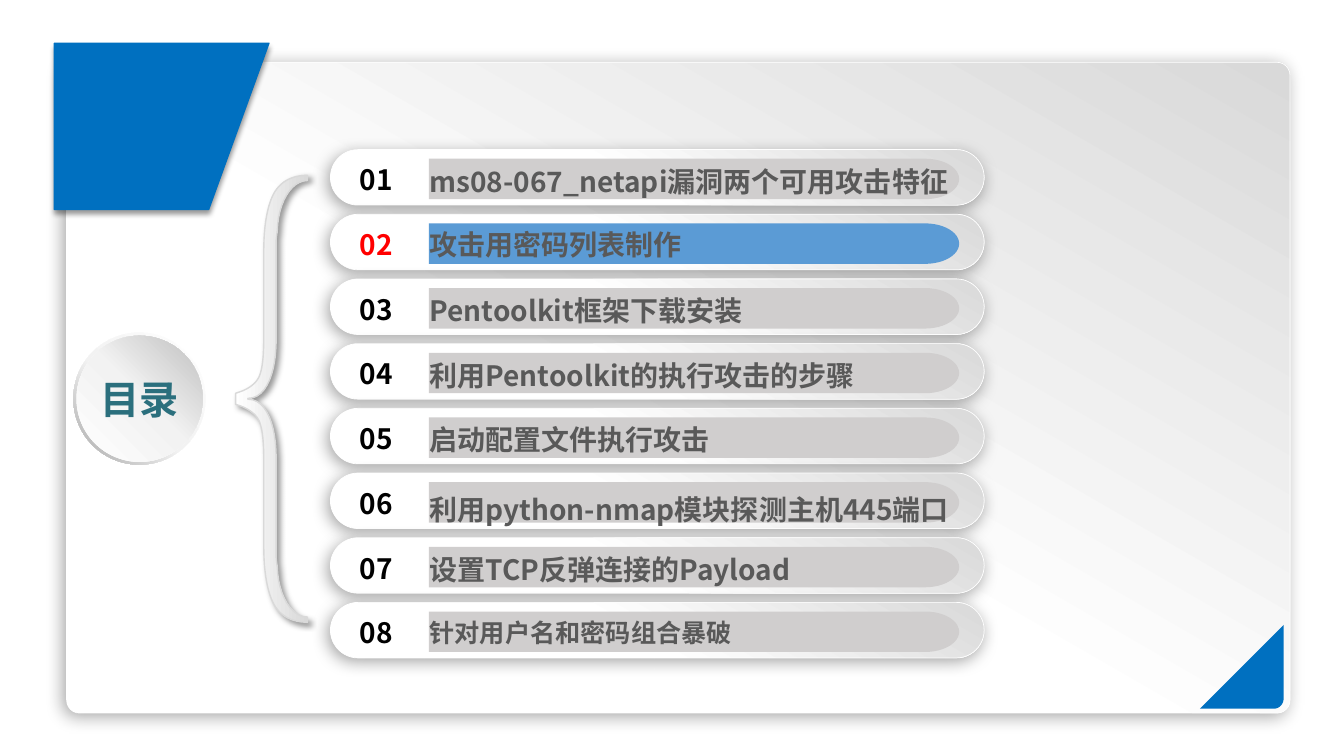
from dataclasses import dataclass

import pptx
import pptx.dml.color
import pptx.enum.shapes
import pptx.enum.text
import pptx.oxml
import pptx.oxml.ns
import pptx.util
from lxml import etree
from pptx.util import Cm

COLORS = {
    "white": "FFFFFF", "pale": "F2F2F2", "light": "D9D9D9", "silver": "BFBFBF",
    "rim": "A6A6A6", "bar": "D0CECE", "active_bar": "5B9BD5", "blue": "0070C0",
    "teal": "2B6F7D", "text": "595959", "black": "000000", "red": "FF0000",
}
FONT = "Noto Sans CJK SC"
SHAPES = pptx.enum.shapes.MSO_SHAPE
Point = tuple[float, float]
Segment = tuple[Point, ...]  # one point: line; three points: Bézier curve


@dataclass
class Gradient:
    stops: list[tuple[int, str]]
    angle: int


@dataclass
class Shadow:
    opacity: int
    blur: float
    distance: float
    angle: int


@dataclass
class Style:
    fill: str | Gradient
    line: str | None = None
    line_width: float = 1
    shadow: Shadow | None = None


@dataclass
class Entry:
    title: str
    width: float = 10.85
    drop: float = 0.24
    size: int = 20
    active: bool = False


PANEL_STYLE = Style(Gradient([(45, "white"), (100, "light")], 300),
                    "white", 0.5, Shadow(34, 12, 3, 135))
BRACE_STYLE = Style(Gradient([(0, "white"), (100, "light")], 0),
                    "light", 1, Shadow(40, 4, 3, 45))
BANNER_STYLE = Style("blue", "blue", 1, Shadow(40, 4, 3, 90))
RIM_STYLE = Style(Gradient([(0, "white"), (55, "pale"), (100, "rim")], 135))
DISC_STYLE = Style(Gradient([(0, "white"), (51, "pale"), (100, "silver")], 315))

ENTRIES = [
    Entry("ms08-067_netapi漏洞两个可用攻击特征", 14.02),
    Entry("攻击用密码列表制作", 14.02, 0.2, active=True),
    Entry("Pentoolkit框架下载安装"),
    Entry("利用Pentoolkit的执行攻击的步骤", 13.84),
    Entry("启动配置文件执行攻击"),
    Entry("利用python-nmap模块探测主机445端口", 19.2, 0.36),
    Entry("设置TCP反弹连接的Payload"),
    Entry("针对用户名和密码组合暴破", size=18),
]
FIRST_TOP, ROW_PITCH = 3.77, 1.63

# Upper half of the brace, from the inner cusp round to the outer tip
BRACE_AXIS = 10.05
BRACE_HALF: list[Segment] = [
    ((6.25, 10.04),),
    ((6.76, 10.04), (6.96, 9.28), (6.96, 8.61)),
    ((6.96, 6.15),),
    ((6.96, 6.0), (6.98, 5.9), (6.99, 5.82)),
    ((7.01, 5.11), (7.34, 4.55), (7.75, 4.55)),
    ((7.75, 4.42),),
    ((7.39, 4.42), (7.11, 4.55), (6.93, 4.83)),
    ((6.75, 5.13), (6.65, 5.64), (6.65, 6.35)),
    ((6.65, 8.51),),
    ((6.65, 8.97), (6.62, 9.3), (6.53, 9.5)),
    ((6.43, 9.7), (6.22, 9.83), (5.94, 9.91)),
]


def rgb(name: str) -> pptx.dml.color.RGBColor:
    return pptx.dml.color.RGBColor.from_string(COLORS[name])


def add_color(parent, name: str):
    return etree.SubElement(parent, pptx.oxml.ns.qn("a:srgbClr"), val=COLORS[name])


def apply_style(shape, style: Style) -> None:
    properties = shape._element.spPr
    if isinstance(style.fill, Gradient):
        shape.fill.gradient()
        shape.fill.gradient_angle = (360 - style.fill.angle) % 360
        stop_list = properties.find(".//" + pptx.oxml.ns.qn("a:gsLst"))
        for old_stop in list(stop_list):
            stop_list.remove(old_stop)
        for position, name in style.fill.stops:
            stop = etree.SubElement(stop_list, pptx.oxml.ns.qn("a:gs"), pos=str(position * 1000))
            add_color(stop, name)
    else:
        shape.fill.solid()
        shape.fill.fore_color.rgb = rgb(style.fill)
    if style.line:
        shape.line.color.rgb = rgb(style.line)
        shape.line.width = pptx.util.Pt(style.line_width)
    else:
        shape.line.fill.background()
    shape.shadow.inherit = False
    if style.shadow:
        effects = properties.find(pptx.oxml.ns.qn("a:effectLst"))
        outer = etree.SubElement(
            effects, pptx.oxml.ns.qn("a:outerShdw"),
            blurRad=str(pptx.util.Pt(style.shadow.blur)),
            dist=str(pptx.util.Pt(style.shadow.distance)),
            dir=str(style.shadow.angle * 60000), algn="ctr", rotWithShape="0")
        color = add_color(outer, "black")
        etree.SubElement(color, pptx.oxml.ns.qn("a:alpha"), val=str(style.shadow.opacity * 1000))


def add_preset(slide, kind, left: float, top: float, width: float, height: float,
               style: Style, adjustment: float | None = None) -> None:
    shape = slide.shapes.add_shape(kind, Cm(left), Cm(top), Cm(width), Cm(height))
    if adjustment is not None:
        shape.adjustments[0] = adjustment
    apply_style(shape, style)


def trace(segments: list[Segment], steps: int = 12) -> list[Point]:
    points: list[Point] = []
    for segment in segments:
        if len(segment) == 1:
            points.append(segment[0])
            continue
        controls = (points[-1], *segment)
        for step in range(1, steps + 1):
            t = step / steps
            weights = ((1 - t) ** 3, 3 * t * (1 - t) ** 2, 3 * t * t * (1 - t), t ** 3)
            points.append((sum(w * x for w, (x, _) in zip(weights, controls)),
                           sum(w * y for w, (_, y) in zip(weights, controls))))
    return points


def add_outline(slide, points: list[Point], style: Style) -> None:
    corners = [(Cm(x), Cm(y)) for x, y in points]
    builder = slide.shapes.build_freeform(*corners[0])
    builder.add_line_segments(corners[1:], close=True)
    apply_style(builder.convert_to_shape(), style)


def add_label(slide, text: str, left: float, top: float, width: float, height: float,
              size: int, color: str, centered: bool = False) -> None:
    box = slide.shapes.add_textbox(Cm(left), Cm(top), Cm(width), Cm(height))
    frame = box.text_frame
    frame.word_wrap = True
    paragraph = frame.paragraphs[0]
    if centered:
        frame.margin_left = frame.margin_right = frame.margin_top = frame.margin_bottom = 0
        paragraph.alignment = pptx.enum.text.PP_ALIGN.CENTER
    run = paragraph.add_run()
    run.text = text
    run.font.size = pptx.util.Pt(size)
    run.font.bold = True
    run.font.color.rgb = rgb(color)
    run.font.name = FONT
    etree.SubElement(run.font._element, pptx.oxml.ns.qn("a:ea"), typeface=FONT)


def add_entry(slide, number: int, entry: Entry) -> None:
    top = FIRST_TOP + (number - 1) * ROW_PITCH
    add_preset(slide, SHAPES.ROUNDED_RECTANGLE, 8.33, top, 16.48, 1.4, PANEL_STYLE, 0.5)
    upper, middle, lower = top + 0.23, top + 0.74, top + 1.25
    bar = trace([((10.81, upper),), ((23.32, upper),),
                 ((23.8, upper), (24.18, upper + 0.23), (24.18, middle)),
                 ((24.18, lower - 0.23), (23.8, lower), (23.32, lower)), ((10.81, lower),)])
    add_outline(slide, bar, Style("active_bar" if entry.active else "bar"))
    add_label(slide, f"{number:02}", 8.82, top + 0.21, 2, 1.12, 20,
              "red" if entry.active else "black")
    add_label(slide, entry.title, 10.58, top + entry.drop, entry.width, 1.12, entry.size, "text")


def main() -> None:
    presentation = pptx.Presentation()
    presentation.slide_width, presentation.slide_height = Cm(33.88), Cm(19.05)
    slide = presentation.slides.add_slide(presentation.slide_layouts[6])

    # Background panel, corner and banner
    add_preset(slide, SHAPES.ROUNDED_RECTANGLE, 1.68, 1.57, 30.84, 16.4, PANEL_STYLE, 0.02)
    corner = trace([((32.36, 15.75),), ((32.36, 17.6),),
                    ((32.36, 17.73), (32.26, 17.86), (32.11, 17.86)), ((30.25, 17.86),)])
    add_outline(slide, corner, Style("blue"))
    add_outline(slide, [(6.78, 1.09), (1.37, 1.09), (1.37, 5.28), (5.26, 5.28)], BANNER_STYLE)

    # Contents badge and brace
    add_preset(slide, SHAPES.DONUT, 1.85, 8.38, 3.33, 3.33, RIM_STYLE, 0.05)
    add_preset(slide, SHAPES.OVAL, 1.93, 8.46, 3.18, 3.18, DISC_STYLE)
    add_label(slide, "目录", 1.78, 9.45, 3.5, 1.19, 28, "teal", centered=True)
    half = trace(BRACE_HALF)
    mirrored = [(x, 2 * BRACE_AXIS - y) for x, y in reversed(half)]
    add_outline(slide, half + mirrored, BRACE_STYLE)

    # Contents entries
    for number, entry in enumerate(ENTRIES, start=1):
        add_entry(slide, number, entry)
    presentation.save("out.pptx")


if __name__ == "__main__":
    main()
